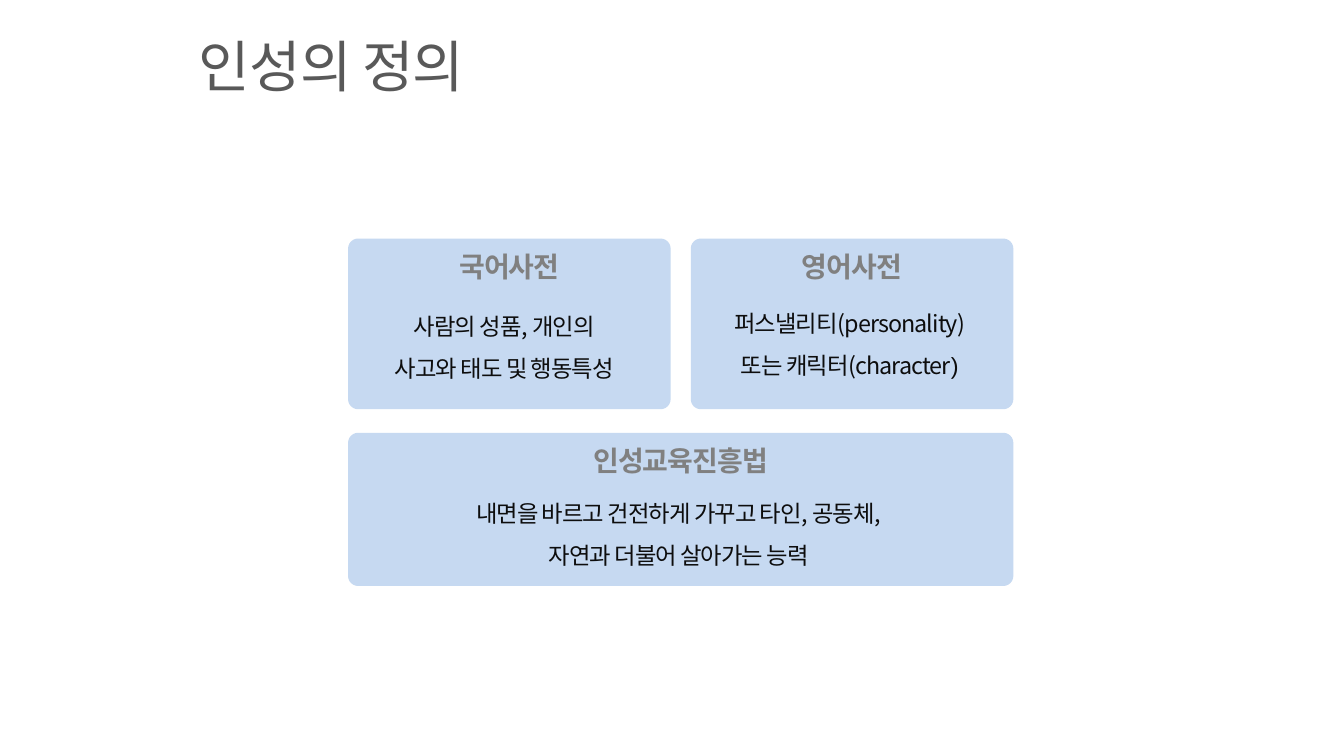
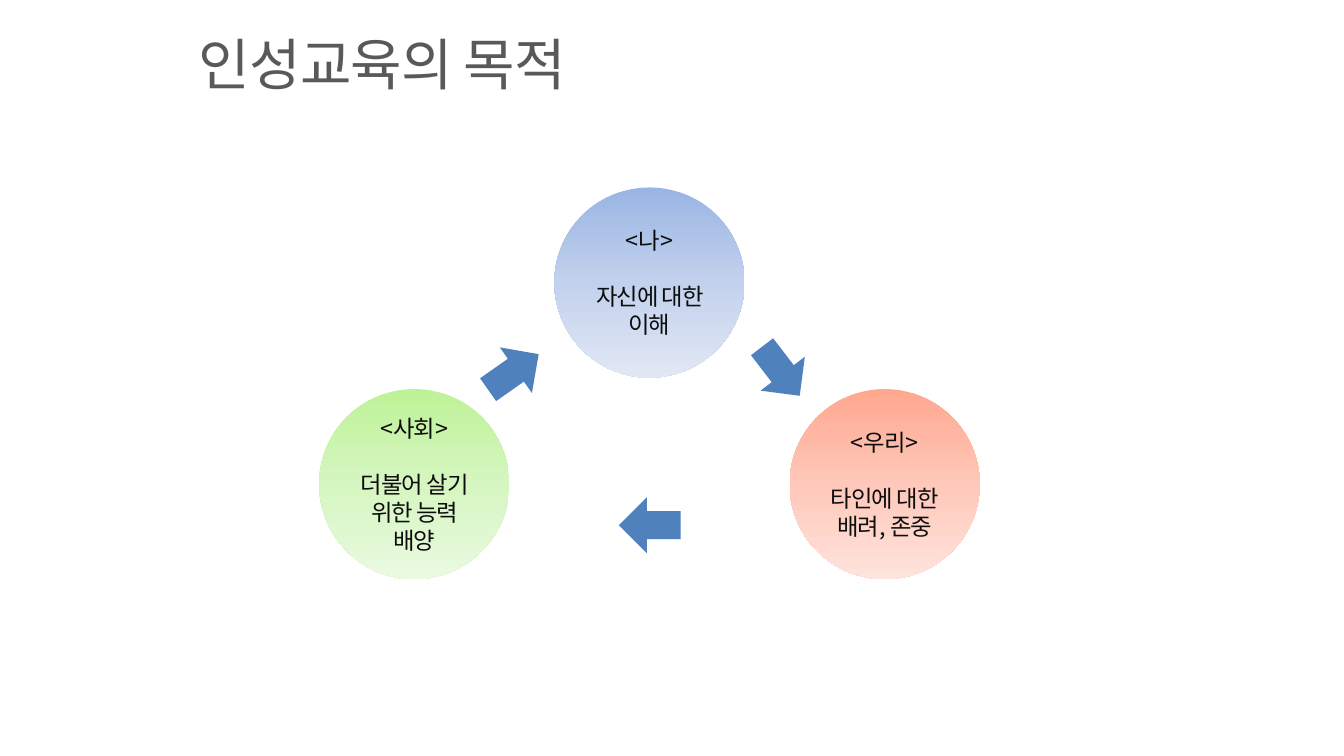
from copy import deepcopy

from lxml.etree import SubElement
from pptx import Presentation
from pptx.dml.color import RGBColor
from pptx.enum.shapes import MSO_SHAPE
from pptx.enum.text import MSO_ANCHOR, PP_ALIGN
from pptx.oxml.ns import qn
from pptx.util import Inches, Pt

# Shared style
FONT = "Noto Sans CJK KR"
WHITE = RGBColor(0xFF, 0xFF, 0xFF)
TITLE_GREY = RGBColor(0x59, 0x59, 0x59)
HEADING_GREY = RGBColor(0x80, 0x80, 0x80)
BODY_BLACK = RGBColor(0x0D, 0x0D, 0x0D)
CARD_BLUE = RGBColor(0xC6, 0xD9, 0xF1)
ARROW_BLUE = RGBColor(0x4F, 0x81, 0xBD)
BLUE_GRADIENT = [RGBColor(0x9A, 0xB5, 0xE4), RGBColor(0xC2, 0xD1, 0xED), RGBColor(0xE1, 0xE8, 0xF5)]
RED_GRADIENT = [RGBColor(0xFF, 0xA7, 0x8E), RGBColor(0xFF, 0xC8, 0xBA), RGBColor(0xFF, 0xE3, 0xDD)]
GREEN_GRADIENT = [RGBColor(0xBE, 0xF2, 0x97), RGBColor(0xD5, 0xF6, 0xC0), RGBColor(0xEA, 0xFA, 0xE0)]

# Definition cards: column, columns spanned, top, height, heading, lines, body left, top and width
DEFINITION_TITLE = "인성의 정의"
CARDS = [
    (0, 1, 3.55, 2.54, "국어사전", ["사람의 성품, 개인의", "사고와 태도 및 행동특성"],
     (5.51, 4.44, 3.99)),
    (1, 1, 3.55, 2.54, "영어사전",
     ["퍼스낼리티(personality)", [("또는 캐릭터(character", FONT), (")", "Arial")]],
     (10.38, 4.39, 4.53)),
    (0, 2, 6.44, 2.28, "인성교육진흥법",
     ["내면을 바르고 건전하게 가꾸고 타인, 공동체,", "자연과 더불어 살아가는 능력"],
     (5.28, 7.22, 9.64)),
]
CARD_LEFT, CARD_WIDTH, CARD_GAP, CARD_RADIUS = 5.18, 4.8, 0.3, 0.15
HEADING_INSET, HEADING_HEIGHT = 0.28, 0.53

# Purpose cycle: column, row, gradient, lines
PURPOSE_TITLE = "인성교육의 목적"
CIRCLES = [
    (1, 0, BLUE_GRADIENT, ["<나>", "자신에 대한 이해"]),
    (2, 1, RED_GRADIENT, ["<우리>", "타인에 대한", "배려, 존중"]),
    (0, 1, GREEN_GRADIENT, ["<사회>", "더불어 살기 위한 능력 배양"]),
]
CIRCLE_LEFT, CIRCLE_TOP, CIRCLE_SIZE = 4.75, 2.79, 2.83
COLUMN_STEP, ROW_STEP = 3.5, 3
ARROWS = [(7.18, 5.12, 324.9), (11.16, 5.11, 52.5), (9.21, 7.4, 180)]  # left, top, rotation
ARROW_SIZE = (0.92, 0.83)


def write_text(shape, lines, size=25, color=BODY_BLACK, bold=False, align=PP_ALIGN.CENTER,
               anchor=MSO_ANCHOR.TOP, spacing=None, inset=0, wrap=True, gap_after_first=0):
    """Fill a shape with paragraphs; a line is a string or a list of (text, font) runs."""
    frame = shape.text_frame
    frame.word_wrap = wrap
    frame.vertical_anchor = anchor
    frame.margin_left = frame.margin_right = Inches(inset)
    frame.margin_top = frame.margin_bottom = Inches(inset / 2)
    for index, line in enumerate(lines):
        paragraph = frame.add_paragraph() if index else frame.paragraphs[0]
        paragraph.alignment = align
        if spacing:
            paragraph.line_spacing = spacing
        if index == 1 and gap_after_first:
            paragraph.space_before = Pt(gap_after_first)
        for text, font_name in [(line, FONT)] if isinstance(line, str) else line:
            run = paragraph.add_run()
            run.text = text
            run.font.size = Pt(size)
            run.font.bold = bold
            run.font.color.rgb = color
            run.font.name = font_name
            properties = run.font._element
            SubElement(properties, qn("a:ea")).set("typeface", font_name)
            if font_name == FONT:
                properties.set("spc", "-100")


def add_text(slide, box, lines, **style):
    write_text(slide.shapes.add_textbox(*map(Inches, box)), lines, **style)


def add_plain_shape(slide, kind, box, fill=None):
    shape = slide.shapes.add_shape(kind, *map(Inches, box))
    shape.shadow.inherit = False
    shape.line.fill.background()
    if fill is not None:
        shape.fill.solid()
        shape.fill.fore_color.rgb = fill
    return shape


def fill_gradient(shape, colors):
    """Fill from top to bottom with evenly spaced colours."""
    shape.fill.gradient()
    shape.fill.gradient_angle = 270
    stop_list = shape._element.spPr.find(qn("a:gradFill")).find(qn("a:gsLst"))
    while len(stop_list) < len(colors):
        stop_list.append(deepcopy(stop_list[0]))
    for index, (stop, color) in enumerate(zip(shape.fill.gradient_stops, colors)):
        stop.color.rgb = color
        stop.position = index / (len(colors) - 1)


def add_titled_slide(presentation, title, top):
    slide = presentation.slides.add_slide(presentation.slide_layouts[6])
    slide.background.fill.solid()
    slide.background.fill.fore_color.rgb = WHITE
    add_text(slide, (2.96, top, 9.48, 1.19), [title], size=60, color=TITLE_GREY,
             align=PP_ALIGN.LEFT, anchor=MSO_ANCHOR.MIDDLE, spacing=1.0)
    return slide


def build_definition(presentation):
    slide = add_titled_slide(presentation, DEFINITION_TITLE, 0.38)
    for column, span, top, height, heading, lines, (left, body_top, width) in CARDS:
        card_left = CARD_LEFT + column * (CARD_WIDTH + CARD_GAP)
        card_width = span * CARD_WIDTH + (span - 1) * CARD_GAP
        card = add_plain_shape(slide, MSO_SHAPE.ROUNDED_RECTANGLE,
                               (card_left, top, card_width, height), CARD_BLUE)
        card.adjustments[0] = CARD_RADIUS / height
        add_text(slide, (card_left + HEADING_INSET, top + HEADING_INSET,
                         card_width - 2 * HEADING_INSET, HEADING_HEIGHT),
                 [heading], size=30, color=HEADING_GREY, bold=True, spacing=Pt(27.5), wrap=False)
        add_text(slide, (left, body_top, width, 1.2), lines, spacing=1.5)


def build_purpose(presentation):
    slide = add_titled_slide(presentation, PURPOSE_TITLE, 0.35)
    for column, row, gradient, lines in CIRCLES:
        circle = add_plain_shape(slide, MSO_SHAPE.OVAL,
                                 (CIRCLE_LEFT + column * COLUMN_STEP, CIRCLE_TOP + row * ROW_STEP,
                                  CIRCLE_SIZE, CIRCLE_SIZE))
        fill_gradient(circle, gradient)
        write_text(circle, lines, anchor=MSO_ANCHOR.MIDDLE, inset=0.1, gap_after_first=30)
    for left, top, rotation in ARROWS:
        arrow = add_plain_shape(slide, MSO_SHAPE.RIGHT_ARROW, (left, top, *ARROW_SIZE), ARROW_BLUE)
        arrow.rotation = rotation


def main():
    presentation = Presentation()
    presentation.slide_width = Inches(20)
    presentation.slide_height = Inches(11.25)
    build_definition(presentation)
    build_purpose(presentation)
    presentation.save("out.pptx")


if __name__ == "__main__":
    main()
